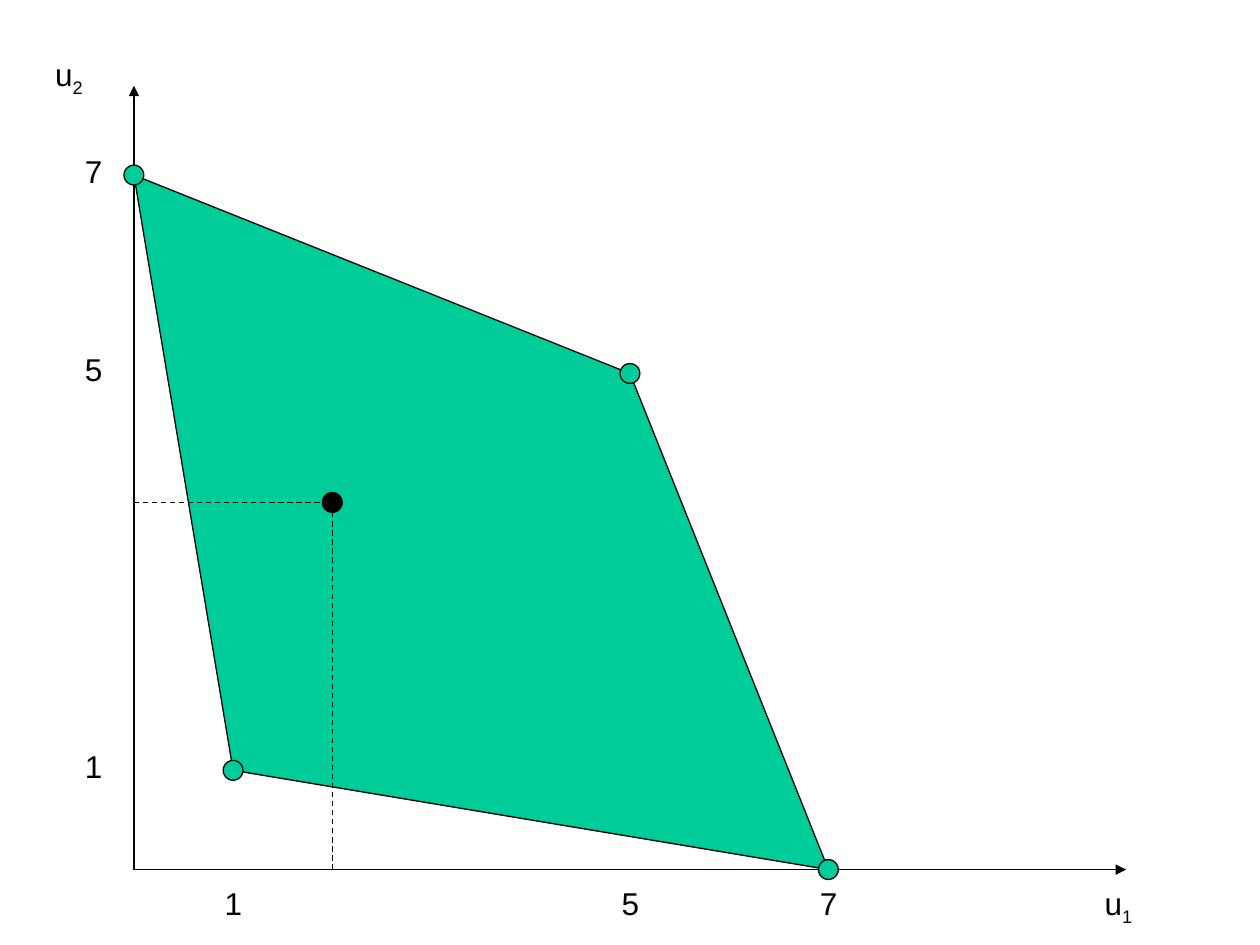
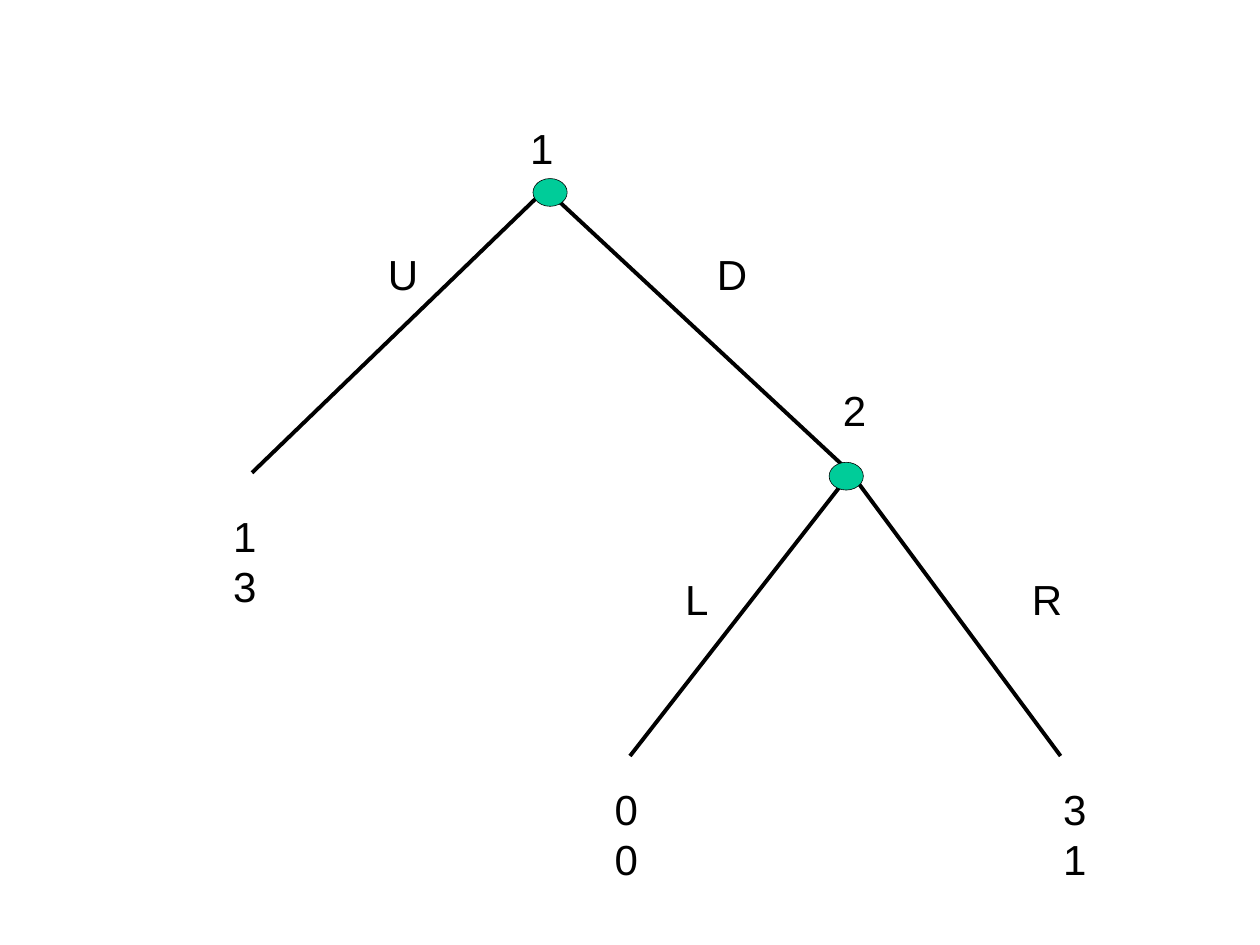
from dataclasses import dataclass

from lxml import etree
from pptx import Presentation
from pptx.dml.color import RGBColor
from pptx.enum.dml import MSO_LINE
from pptx.enum.shapes import MSO_CONNECTOR, MSO_SHAPE
from pptx.enum.text import MSO_AUTO_SIZE
from pptx.oxml.ns import qn
from pptx.slide import Slide
from pptx.util import Cm, Pt

OVAL = MSO_SHAPE.OVAL
STRAIGHT = MSO_CONNECTOR.STRAIGHT
DASH = MSO_LINE.DASH
GROW = MSO_AUTO_SIZE.SHAPE_TO_FIT_TEXT

GREEN = "00CC99"
BLACK = "000000"
FONT = "Arial"
THIN = 0.75

UNIT = 2
LEFT = 2.7
BASE = 17.53


@dataclass
class Label:
    text: str
    x: float
    y: float
    width: float
    height: float
    size: int
    sub: str = ""


@dataclass
class Line:
    start: tuple[float, float]
    end: tuple[float, float]
    weight: float = THIN
    arrow: bool = False
    dashed: bool = False


@dataclass
class Dot:
    x: float
    y: float
    width: float = 0.4
    height: float = 0.4
    fill: str = GREEN
    weight: float = THIN


def color(code: str) -> RGBColor:
    return RGBColor.from_string(code)


def paint(shape, fill: str, weight: float) -> None:
    shape.shadow.inherit = False
    shape.fill.solid()
    shape.fill.fore_color.rgb = color(fill)
    shape.line.color.rgb = color(BLACK)
    shape.line.width = Pt(weight)


def draw_label(slide: Slide, label: Label) -> None:
    box = slide.shapes.add_textbox(
        Cm(label.x), Cm(label.y), Cm(label.width), Cm(label.height)
    )
    frame = box.text_frame
    frame.text = label.text
    frame.word_wrap = False
    frame.auto_size = GROW
    if label.sub:
        low = frame.paragraphs[0].add_run()
        low.text = label.sub
        low.font._element.set("baseline", "-25000")
    for para in frame.paragraphs:
        for run in para.runs:
            run.font.name = FONT
            run.font.size = Pt(label.size)
            run.font.color.rgb = color(BLACK)


def draw_line(slide: Slide, line: Line) -> None:
    ends = [Cm(value) for value in (*line.start, *line.end)]
    link = slide.shapes.add_connector(STRAIGHT, *ends)
    link.line.color.rgb = color(BLACK)
    link.line.width = Pt(line.weight)
    if line.dashed:
        link.line.dash_style = DASH
    if line.arrow:
        tail = etree.SubElement(link.line._get_or_add_ln(), qn("a:tailEnd"))
        tail.set("type", "triangle")
    etree.SubElement(link._element.spPr, qn("a:effectLst"))


def draw_dot(slide: Slide, dot: Dot) -> None:
    shape = slide.shapes.add_shape(
        OVAL,
        Cm(dot.x - dot.width / 2),
        Cm(dot.y - dot.height / 2),
        Cm(dot.width),
        Cm(dot.height),
    )
    paint(shape, dot.fill, dot.weight)


def point(u: float, v: float) -> tuple[float, float]:
    return LEFT + u * UNIT, BASE - v * UNIT


def draw_area(slide: Slide, spots: list[tuple[float, float]]) -> None:
    first, *rest = [(Cm(x), Cm(y)) for x, y in spots]
    pen = slide.shapes.build_freeform(*first)
    pen.add_line_segments(rest, close=True)
    paint(pen.convert_to_shape(), GREEN, THIN)


def payoff_slide(slide: Slide) -> None:
    spots = [point(u, v) for u, v in ((0, 7), (1, 1), (7, 0), (5, 5))]
    inner = point(2, 3.7)
    zero = point(0, 0)

    draw_area(slide, spots)
    for line in (
        Line(zero, point(10, 0), arrow=True),
        Line(zero, point(0, 7.9), arrow=True),
    ):
        draw_line(slide, line)
    for spot in spots:
        draw_dot(slide, Dot(*spot))
    for line in (
        Line(point(2, 0), inner, dashed=True),
        Line(point(0, 3.7), inner, dashed=True),
    ):
        draw_line(slide, line)
    draw_dot(slide, Dot(*inner, fill=BLACK))

    draw_label(slide, Label("u", 0.86, 0.99, 1.07, 1.12, 18, "2"))
    draw_label(slide, Label("u", 22.02, 17.7, 1.07, 1.12, 18, "1"))
    for tick in (1, 5, 7):
        x, y = point(tick, tick)
        draw_label(slide, Label(str(tick), x - 0.42, 17.7, 0.86, 1.02, 18))
        draw_label(slide, Label(str(tick), 1.46, y - 0.59, 0.86, 1.02, 18))


def tree_slide(slide: Slide) -> None:
    root = (11, 3.81)
    node = (17.15, 9.53)
    thick = 2.25
    for line in (
        Line(root, (5.08, 9.53), thick),
        Line(root, node, thick),
        Line(node, (12.7, 15.24), thick),
        Line(node, (21.38, 15.24), thick),
    ):
        draw_line(slide, line)

    for text, x, y in (("1\n3", 4.45, 10.16), ("0\n0", 12.14, 15.67), ("3\n1", 21.18, 15.67)):
        draw_label(slide, Label(text, x, y, 0.97, 2.29, 24))
    for text, x, y, width in (
        ("U", 7.57, 4.88, 1.12),
        ("D", 14.2, 4.88, 1.12),
        ("L", 13.56, 11.43, 0.97),
        ("R", 20.55, 11.43, 1.12),
        ("1", 10.44, 2.34, 0.97),
        ("2", 16.74, 7.62, 0.97),
    ):
        draw_label(slide, Label(text, x, y, width, 1.27, 24))

    for x, y in ((11.09, 3.88), (17.06, 9.6)):
        draw_dot(slide, Dot(x, y, 0.69, 0.56, weight=0.34))


def main() -> None:
    deck = Presentation()
    deck.slide_width = Cm(25.4)
    deck.slide_height = Cm(19.05)
    blank = deck.slide_layouts[6]
    for build in (payoff_slide, tree_slide):
        build(deck.slides.add_slide(blank))
    deck.save("out.pptx")


if __name__ == "__main__":
    main()
